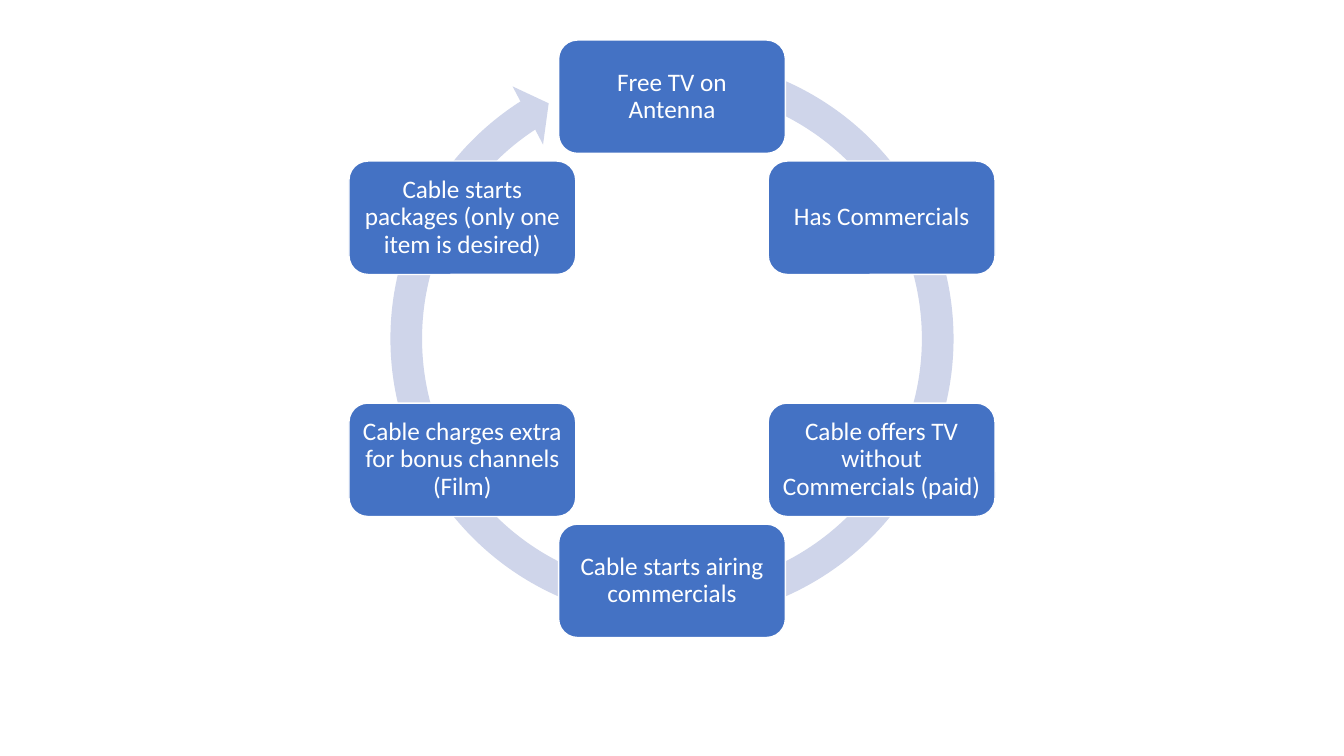
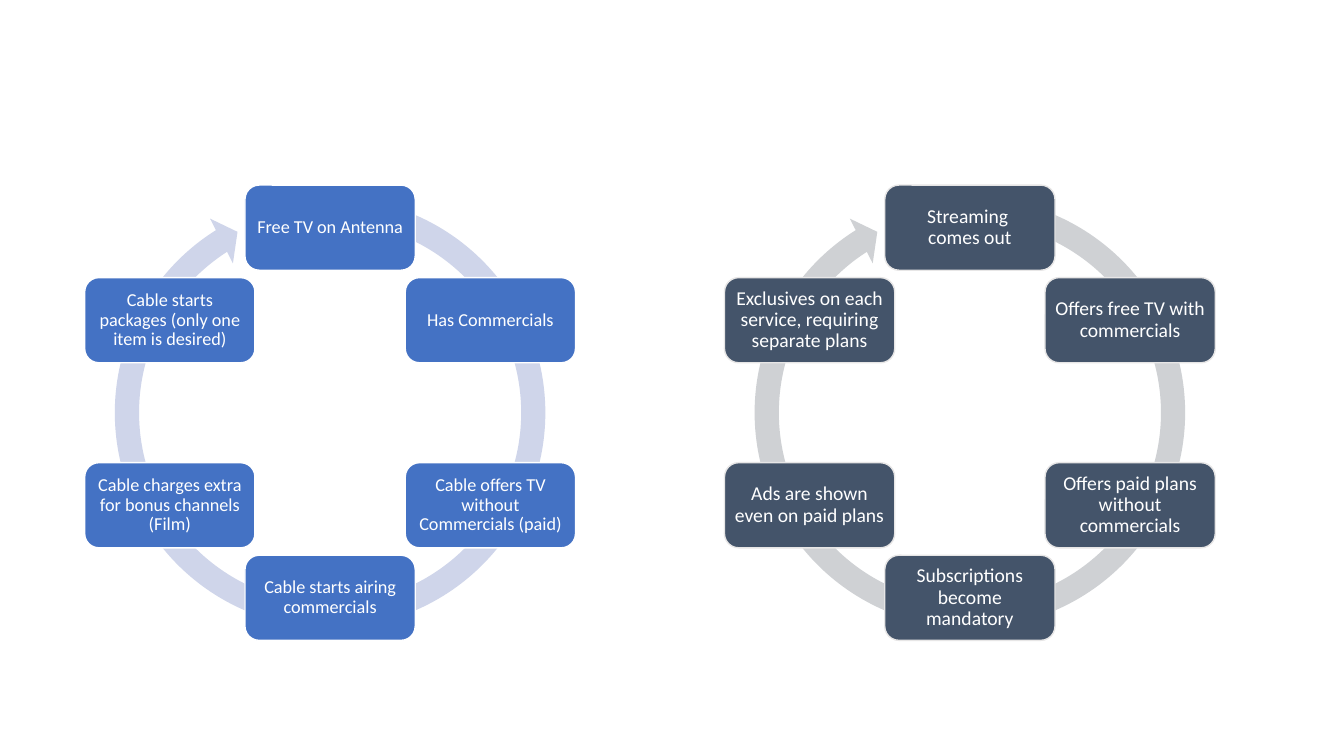
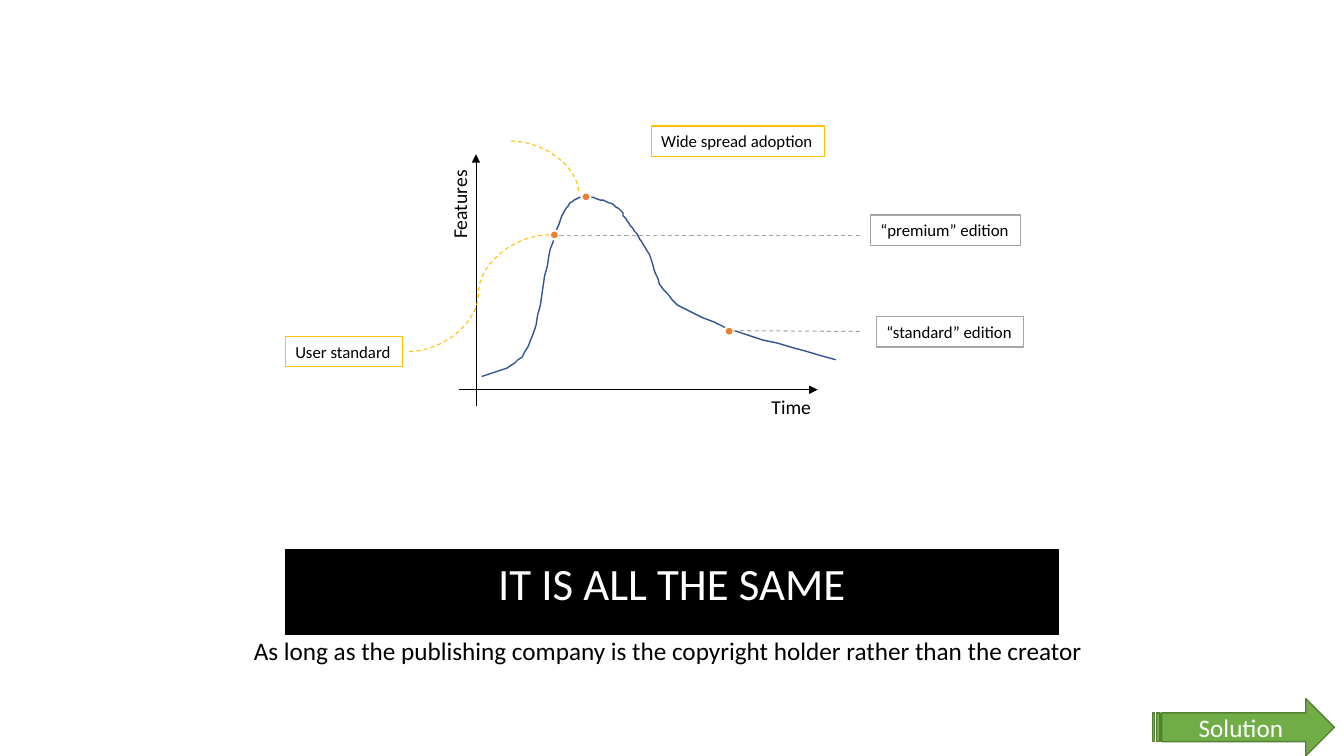
from math import cos, radians, sin

from lxml.etree import SubElement
from pptx import Presentation
from pptx.dml.color import RGBColor
from pptx.enum.dml import MSO_LINE
from pptx.enum.shapes import MSO_CONNECTOR, MSO_SHAPE
from pptx.enum.text import MSO_ANCHOR, MSO_AUTO_SIZE, PP_ALIGN
from pptx.oxml.ns import qn
from pptx.util import Pt

FONT = "Calibri"
WHITE = RGBColor(0xFF, 0xFF, 0xFF)
BLACK = RGBColor(0x00, 0x00, 0x00)
BLUE = RGBColor(0x44, 0x72, 0xC4)
PALE_BLUE = RGBColor(0xCF, 0xD5, 0xEA)
SLATE = RGBColor(0x44, 0x54, 0x6A)
PALE_SLATE = RGBColor(0xCF, 0xD1, 0xD4)
LIGHT_GREY = RGBColor(0xE7, 0xE6, 0xE6)
GREY = RGBColor(0xA5, 0xA5, 0xA5)
NAVY = RGBColor(0x32, 0x54, 0x91)
ORANGE = RGBColor(0xED, 0x7D, 0x31)
GOLD = RGBColor(0xFF, 0xC0, 0x00)
GREEN = RGBColor(0x70, 0xAD, 0x47)
DARK_GREEN = RGBColor(0x53, 0x80, 0x35)

TITLE_ONLY, BLANK = 5, 6

CABLE_STEPS = [
    "Free TV on Antenna",
    "Has Commercials",
    "Cable offers TV without Commercials (paid)",
    "Cable starts airing commercials",
    "Cable charges extra for bonus channels (Film)",
    "Cable starts packages (only one item is desired)",
]
STREAMING_STEPS = [
    "Streaming \vcomes out",
    "Offers free TV with commercials",
    "Offers paid plans without commercials",
    "Subscriptions become mandatory",
    "Ads are shown even on paid plans",
    "Exclusives on each service, requiring separate plans",
]

ADOPTION_START = (344.2, 268.6)
ADOPTION_CURVE = [
    ((356.4, 265.7), (368.6, 263.5), (377.3, 247.7)),
    ((385.9, 231.8), (388.8, 190.8), (394.6, 172.8)),
    ((400.3, 155.5), (403.9, 146.9), (410.4, 142.6)),
    ((417.6, 137.5), (430.6, 143.3), (436.3, 145.4)),
    ((442.8, 148.3), (445, 153.4), (449.3, 159.1)),
    ((453.6, 164.9), (455, 168.5), (462.2, 179.3)),
    ((468.7, 189.4), (466.6, 208.1), (489.6, 221)),
    ((511.9, 234), (554.4, 245.5), (596.9, 257)),
]


def write(frame, text, *, size, color=BLACK, align=PP_ALIGN.LEFT,
          anchor=MSO_ANCHOR.TOP, wrap=True, grow=False, inset=None, spacing=None):
    frame.word_wrap = wrap
    frame.vertical_anchor = anchor
    frame.auto_size = MSO_AUTO_SIZE.SHAPE_TO_FIT_TEXT if grow else MSO_AUTO_SIZE.NONE
    if inset is not None:
        frame.margin_left = frame.margin_right = Pt(inset)
        frame.margin_top = frame.margin_bottom = Pt(inset)
    paragraph = frame.paragraphs[0]
    paragraph.text = text
    paragraph.alignment = align
    paragraph.line_spacing = spacing
    for run in paragraph.runs:
        run.font.name = FONT
        run.font.size = Pt(size)
        run.font.color.rgb = color


def trace(start, segments, steps=12):
    points = [start]
    for first, second, end in segments:
        origin = points[-1]
        for step in range(1, steps + 1):
            t = step / steps
            u = 1 - t
            points.append(tuple(
                u**3 * a + 3 * u * u * t * b + 3 * u * t * t * c + t**3 * d
                for a, b, c, d in zip(origin, first, second, end)))
    return points


class Deck:
    def __init__(self):
        self.presentation = Presentation()
        self.presentation.slide_width = Pt(960)
        self.presentation.slide_height = Pt(540)
        self.slide = None

    def new_slide(self, layout=BLANK):
        self.slide = self.presentation.slides.add_slide(
            self.presentation.slide_layouts[layout])

    def shape(self, kind, left, top, width, height, fill, line=None, weight=1):
        shape = self.slide.shapes.add_shape(
            kind, Pt(left), Pt(top), Pt(width), Pt(height))
        shape.shadow.inherit = False
        shape.fill.solid()
        shape.fill.fore_color.rgb = fill
        if line is None:
            shape.line.fill.background()
        else:
            shape.line.color.rgb = line
            shape.line.width = Pt(weight)
        return shape

    def label(self, text, left, top, width, line):
        box = self.shape(MSO_SHAPE.RECTANGLE, left, top, width, 21.8, WHITE, line)
        write(box.text_frame, text, size=12, grow=True)

    def text(self, text, left, top, width, height, rotation=0, **style):
        box = self.slide.shapes.add_textbox(
            Pt(left), Pt(top), Pt(width), Pt(height))
        box.rotation = rotation
        write(box.text_frame, text, grow=True, **style)

    def title(self, text, left, top, width, height):
        title = self.slide.shapes.title
        title.left, title.top = Pt(left), Pt(top)
        title.width, title.height = Pt(width), Pt(height)
        title.fill.solid()
        title.fill.fore_color.rgb = BLACK
        title.line.color.rgb = BLACK
        title.line.width = Pt(1)
        write(title.text_frame, text, size=32, color=WHITE,
              align=PP_ALIGN.CENTER, grow=True)

    def line(self, start, end, color, weight=0.75, kind=MSO_CONNECTOR.STRAIGHT,
             dashed=False, arrow=False, preset=None):
        line = self.slide.shapes.add_connector(
            kind, *(Pt(value) for value in (*start, *end)))
        line.line.color.rgb = color
        line.line.width = Pt(weight)
        if dashed:
            line.line.dash_style = MSO_LINE.DASH
        properties = line._element.spPr
        if arrow:
            SubElement(properties.find(qn("a:ln")), qn("a:tailEnd"), type="triangle")
        if preset:
            properties.find(qn("a:prstGeom")).set("prst", preset)
        SubElement(properties, qn("a:effectLst"))

    def curve(self, start, segments, color, weight):
        first, *rest = trace(start, segments)
        builder = self.slide.shapes.build_freeform(*first, scale=Pt(1))
        builder.add_line_segments(rest, close=False)
        curve = builder.convert_to_shape()
        curve.shadow.inherit = False
        curve.fill.background()
        curve.line.color.rgb = color
        curve.line.width = Pt(weight)

    def dot(self, x, y, size=6.4):
        self.shape(MSO_SHAPE.OVAL, x - size / 2, y - size / 2, size, size,
                   ORANGE, WHITE, 1.5)

    def cycle(self, steps, x, y, radius, node_width, size, arc,
              fill=BLUE, ring=PALE_BLUE, border=WHITE):
        ring_size = 2.467 * radius
        arrow = self.shape(MSO_SHAPE.CIRCULAR_ARROW, x - ring_size / 2,
                           y - ring_size / 2, ring_size, ring_size, ring)
        for index, value in enumerate((0.053, 3.126, *arc, 0.055)):
            arrow.adjustments[index] = value
        node_height = node_width / 2
        for index, step in enumerate(steps):
            angle = radians(360 / len(steps) * index)
            node = self.shape(
                MSO_SHAPE.ROUNDED_RECTANGLE,
                x + radius * sin(angle) - node_width / 2,
                y - radius * cos(angle) - node_height / 2,
                node_width, node_height, fill, border)
            write(node.text_frame, step, size=size, color=WHITE,
                  align=PP_ALIGN.CENTER, anchor=MSO_ANCHOR.MIDDLE,
                  inset=0.3 * size, spacing=0.9)


def main():
    deck = Deck()

    deck.new_slide()
    deck.cycle(CABLE_STEPS, 480, 242, 172.9, 162, 18, (142.29, 171.26))

    deck.new_slide()
    small_cycle = dict(y=294.8, radius=132.2, node_width=121.6, arc=(142.61, 171.08))
    deck.cycle(CABLE_STEPS, x=235.8, size=13, **small_cycle)
    deck.cycle(STREAMING_STEPS, x=692.8, size=14, fill=SLATE, ring=PALE_SLATE,
               border=LIGHT_GREY, **small_cycle)

    deck.new_slide(TITLE_ONLY)
    deck.line((328, 278.4), (584, 278.4), BLACK, 0.5, arrow=True)
    deck.line((340, 290.2), (340, 110.2), BLACK, 0.5, arrow=True)
    deck.text("Time", 544, 278.6, 43.2, 24.2, size=14, wrap=False)
    deck.text("Features", 296.2, 133.6, 64, 24.2, rotation=270, size=14, wrap=False)
    deck.curve(ADOPTION_START, ADOPTION_CURVE, NAVY, 1)
    for x, y in ((396, 167.8), (418.6, 140.6), (520.8, 236.6)):
        deck.dot(x, y)
    deck.line((392.6, 167.8), (291, 251.2), GOLD, kind=MSO_CONNECTOR.CURVE, dashed=True)
    deck.line((365, 100.8), (413.4, 138.2), GOLD, kind=MSO_CONNECTOR.CURVE,
              dashed=True, preset="curvedConnector2")
    deck.line((399.6, 168), (615.6, 168), GREY, dashed=True)
    deck.line((523.6, 236.2), (615.6, 236.8), GREY, dashed=True)
    for text, left, top, width, color in (
        ("User standard", 203.8, 240.2, 83.6, GOLD),
        ("Wide spread adoption", 465.2, 90, 124, GOLD),
        ("“premium” edition", 621.8, 153.6, 107.2, GREY),
        ("“standard” edition", 626, 226.2, 105, GREY),
    ):
        deck.label(text, left, top, width, color)
    deck.title("IT IS ALL THE SAME", 203.8, 393, 552.4, 46)
    deck.text("As long as the publishing company is the copyright holder "
              "rather than the creator", 174.2, 450, 620.6, 29, size=18)
    solution = deck.shape(MSO_SHAPE.STRIPED_RIGHT_ARROW, 823.4, 499, 129.8, 41,
                          GREEN, DARK_GREEN)
    write(solution.text_frame, "Solution", size=18, color=WHITE,
          align=PP_ALIGN.CENTER, anchor=MSO_ANCHOR.MIDDLE)

    deck.presentation.save("out.pptx")


if __name__ == "__main__":
    main()
